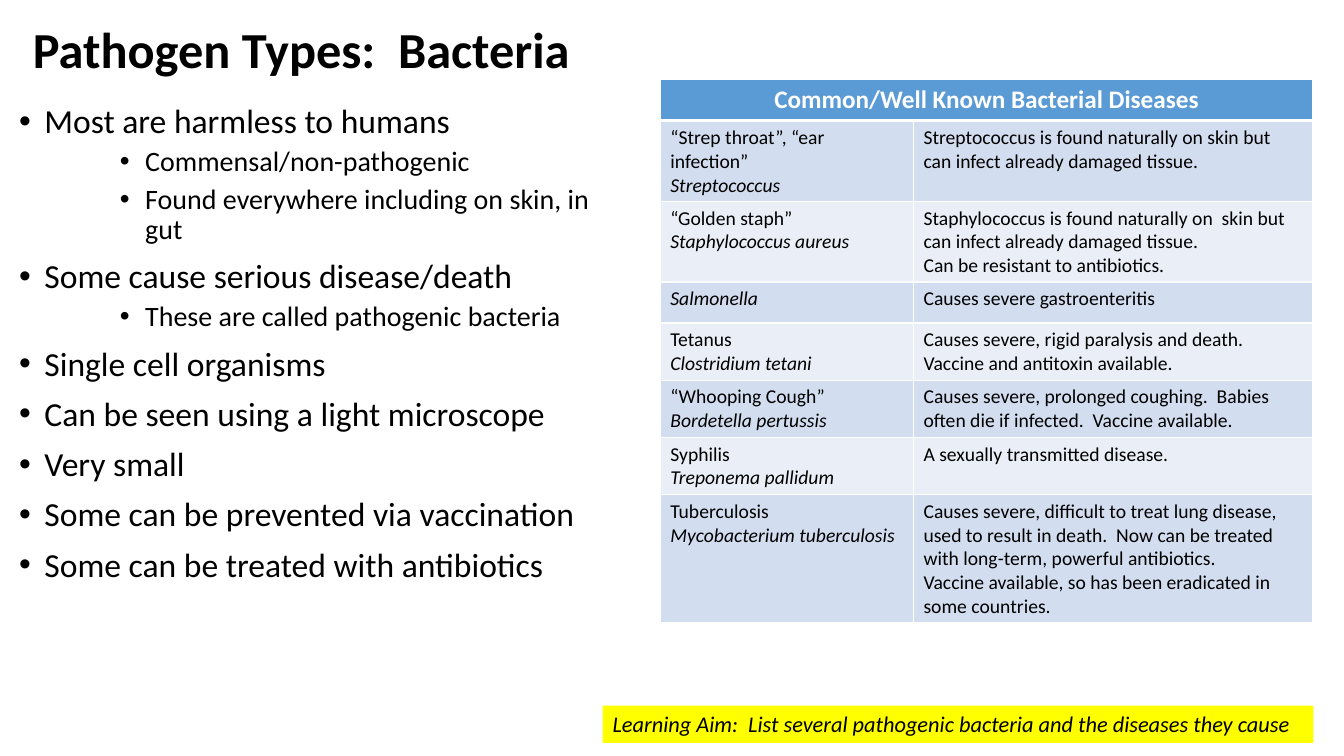
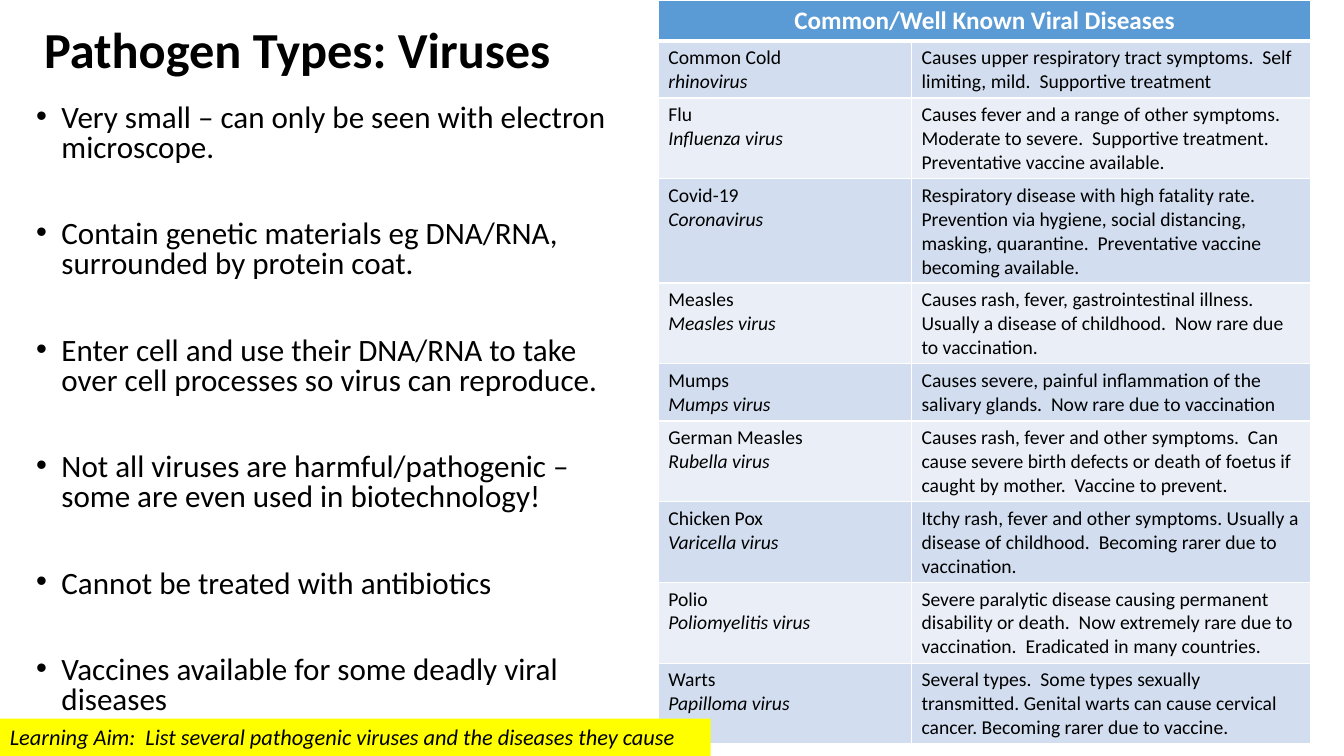
import pptx
import pptx.dml.color
import pptx.enum.text
import pptx.oxml
import pptx.oxml.ns
import pptx.util

Cm = pptx.util.Cm
Pt = pptx.util.Pt
FONT = "Calibri"
BLACK, WHITE, YELLOW = "000000", "FFFFFF", "FFFF00"
HEAD, BANDS = "5B9BD5", ("D2DEEF", "EAEFF7")
COLS = (6.38, 10.07)
ROW = 1.03
LEVELS = ((0.64, 24, 10), (3.18, 20, 5))


def paint(hue):
    """Turn a hex string into a colour."""
    return pptx.dml.color.RGBColor.from_string(hue)


def fill(part, hue):
    """Give a shape or cell a solid fill."""
    part.fill.solid()
    part.fill.fore_color.rgb = paint(hue)


def bullet(para, indent):
    """Hang a round bullet at the given indent."""
    props = para._p.get_or_add_pPr()
    props.set("marL", str(Cm(indent)))
    props.set("indent", str(-Cm(0.64)))
    for tag, key, value in (("buFont", "typeface", "Arial"), ("buChar", "char", "•")):
        node = pptx.oxml.parse_xml(f'<a:{tag} {pptx.oxml.ns.nsdecls("a")} {key}="{value}"/>')
        props.append(node)


def put(frame, text, size=14, hue=BLACK, bold=False, slant=False,
        center=False, indent=None, lead=None, gap=0):
    """Add one formatted paragraph to a text frame."""
    para = frame.paragraphs[0]
    first = not para.runs
    if not first:
        para = frame.add_paragraph()
    if indent is not None:
        bullet(para, indent)
    if center:
        para.alignment = pptx.enum.text.PP_ALIGN.CENTER
    if lead:
        para.line_spacing = lead
    para.space_before = Pt(0 if first else gap)
    run = para.add_run()
    run.text = text
    font = run.font
    font.name, font.size, font.bold, font.italic = FONT, Pt(size), bold, slant
    font.color.rgb = paint(hue)


def box(slide, place):
    """Add a wrapping text box and return it."""
    shape = slide.shapes.add_textbox(*map(Cm, place))
    shape.text_frame.word_wrap = True
    return shape


def title(slide, place, text):
    """Write the slide title."""
    frame = box(slide, place).text_frame
    frame.vertical_anchor = pptx.enum.text.MSO_ANCHOR.MIDDLE
    put(frame, text, size=36, bold=True, lead=0.9)


def points(slide, place, items, lead=0.9, size=None, gap=None):
    """Write a list of (level, text) bullets."""
    frame = box(slide, place).text_frame
    for level, text in items:
        indent, points_size, before = LEVELS[level]
        put(frame, text, size=size or points_size, indent=indent,
            lead=lead, gap=gap or before)


def edge(cell, **widths):
    """Draw white borders of the given widths on a cell."""
    props = cell._tc.get_or_add_tcPr()
    for side in "LRTB":
        width = Pt(widths.get(side, 1))
        props.append(pptx.oxml.parse_xml(
            f'<a:ln{side} {pptx.oxml.ns.nsdecls("a")} w="{width}"><a:solidFill>'
            f'<a:srgbClr val="{WHITE}"/></a:solidFill></a:ln{side}>'))


def chart(slide, place, head, rows):
    """Build the disease table from (name, germ, notes...) rows."""
    left, top = place
    count = len(rows) + 1
    grid = slide.shapes.add_table(count, 2, Cm(left), Cm(top),
                                  Cm(sum(COLS)), Cm(ROW * count)).table
    for col, width in zip(grid.columns, COLS):
        col.width = Cm(width)
    for line in grid.rows:
        line.height = Cm(ROW)
    for cell in grid.rows[0].cells:
        edge(cell, B=3)
        fill(cell, HEAD)
    grid.cell(0, 0).merge(grid.cell(0, 1))
    put(grid.cell(0, 0).text_frame, head, size=18, hue=WHITE, bold=True, center=True)
    for i, (name, germ, *notes) in enumerate(rows):
        cells = grid.cell(i + 1, 0), grid.cell(i + 1, 1)
        for cell in cells:
            edge(cell, T=1 if i else 3)
            fill(cell, BANDS[i % 2])
        if name:
            put(cells[0].text_frame, name)
        put(cells[0].text_frame, germ, slant=True)
        for note in notes:
            put(cells[1].text_frame, note)


def aim(slide, left, top, topic):
    """Place the yellow learning aim band."""
    band = box(slide, (left, top, 17.91, 0.94))
    fill(band, YELLOW)
    text = f"Learning Aim:  List several pathogenic {topic} and the diseases they cause"
    put(band.text_frame, text, size=16, slant=True)


TRAITS = (
    (0, "Most are harmless to humans"),
    (1, "Commensal/non-pathogenic"),
    (1, "Found everywhere including on skin, in gut"),
    (0, "Some cause serious disease/death"),
    (1, "These are called pathogenic bacteria"),
    (0, "Single cell organisms"),
    (0, "Can be seen using a light microscope"),
    (0, "Very small"),
    (0, "Some can be prevented via vaccination"),
    (0, "Some can be treated with antibiotics"),
)

GERMS = (
    ("“Strep throat”, “ear infection”", "Streptococcus",
     "Streptococcus is found naturally on skin but can infect already damaged tissue."),
    ("“Golden staph”", "Staphylococcus aureus",
     "Staphylococcus is found naturally on  skin but can infect already damaged tissue.",
     "Can be resistant to antibiotics."),
    ("", "Salmonella", "Causes severe gastroenteritis"),
    ("Tetanus", "Clostridium tetani",
     "Causes severe, rigid paralysis and death.  Vaccine and antitoxin available."),
    ("“Whooping Cough”", "Bordetella pertussis",
     "Causes severe, prolonged coughing.  Babies often die if infected.  Vaccine available."),
    ("Syphilis", "Treponema pallidum", "A sexually transmitted disease."),
    ("Tuberculosis", "Mycobacterium tuberculosis",
     "Causes severe, difficult to treat lung disease, used to result in death.  "
     "Now can be treated with long-term, powerful antibiotics.",
     "Vaccine available, so has been eradicated in some countries."),
)

FACTS = (
    (0, "Very small – can only be seen with electron microscope."),
    (0, "Contain genetic materials eg DNA/RNA, surrounded by protein coat."),
    (0, "Enter cell and use their DNA/RNA to take over cell processes so virus can reproduce."),
    (0, "Not all viruses are harmful/pathogenic – some are even used in biotechnology!"),
    (0, "Cannot be treated with antibiotics"),
    (0, "Vaccines available for some deadly viral diseases"),
)

STRAINS = (
    ("Common Cold", "rhinovirus",
     "Causes upper respiratory tract symptoms.  Self limiting, mild.  Supportive treatment"),
    ("Flu", "Influenza virus",
     "Causes fever and a range of other symptoms.  Moderate to severe.  Supportive treatment.",
     "Preventative vaccine available."),
    ("Covid-19", "Coronavirus",
     "Respiratory disease with high fatality rate.  Prevention via hygiene, social distancing, "
     "masking, quarantine.  Preventative vaccine becoming available."),
    ("Measles", "Measles virus",
     "Causes rash, fever, gastrointestinal illness.  Usually a disease of childhood.  "
     "Now rare due to vaccination."),
    ("Mumps", "Mumps virus",
     "Causes severe, painful inflammation of the salivary glands.  Now rare due to vaccination"),
    ("German Measles", "Rubella virus",
     "Causes rash, fever and other symptoms.  Can cause severe birth defects or death of foetus "
     "if caught by mother.  Vaccine to prevent."),
    ("Chicken Pox", "Varicella virus",
     "Itchy rash, fever and other symptoms. Usually a disease of childhood.  "
     "Becoming rarer due to vaccination."),
    ("Polio", "Poliomyelitis virus",
     "Severe paralytic disease causing permanent disability or death.  "
     "Now extremely rare due to vaccination.  Eradicated in many countries."),
    ("Warts", "Papilloma virus",
     "Several types.  Some types sexually transmitted. Genital warts can cause cervical cancer. "
     "Becoming rarer due to vaccine."),
)


def main():
    """Build and save both slides."""
    deck = pptx.Presentation()
    deck.slide_width, deck.slide_height = Cm(33.87), Cm(19.05)
    blank = deck.slide_layouts[6]

    slide = deck.slides.add_slide(blank)
    title(slide, (0.58, 0.74, 27.8, 1.17), "Pathogen Types:  Bacteria")
    points(slide, (0.23, 2.51, 15.93, 15.72), TRAITS)
    chart(slide, (16.64, 2.01), "Common/Well Known Bacterial Diseases", GERMS)
    aim(slide, 15.19, 17.78, "bacteria")

    slide = deck.slides.add_slide(blank)
    title(slide, (0.86, 0.74, 27.5, 1.17), "Pathogen Types: Viruses")
    points(slide, (0.66, 2.51, 15.42, 16.54), FACTS, lead=0.8, size=22.2, gap=40.5)
    chart(slide, (16.59, 0), "Common/Well Known Viral Diseases", STRAINS)
    aim(slide, 0, 18.11, "viruses")

    deck.save("out.pptx")


if __name__ == "__main__":
    main()
